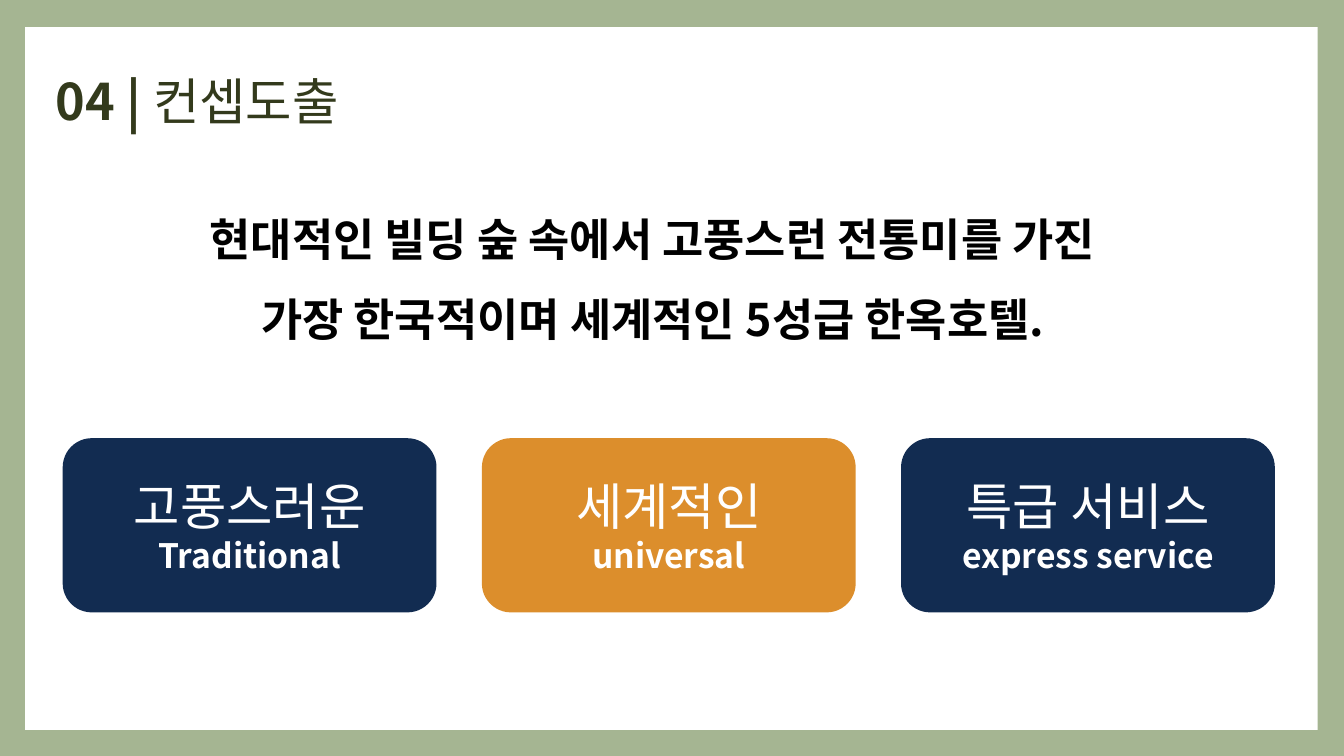
from lxml import etree
from pptx import Presentation
from pptx import util as u
from pptx.dml import color
from pptx.enum import shapes, text
from pptx.oxml import ns

COLORS = {
    "sage": "A5B592",
    "white": "FFFFFF",
    "olive": "333A1C",
    "black": "000000",
    "navy": "122C51",
    "orange": "DC8E2C",
}


class ConceptSlide:
    """Hold the style and the current slide, and draw each kind of element."""

    font_name = "Noto Sans CJK KR"

    def __init__(self, presentation):
        self.slide = presentation.slides.add_slide(presentation.slide_layouts[6])

    def paint(self, fill, name):
        fill.solid()
        fill.fore_color.rgb = color.RGBColor.from_string(COLORS[name])

    def format_run(self, run, size, color_name, bold):
        run.font.size = u.Pt(size)
        run.font.bold = bold
        run.font.name = self.font_name
        run.font.color.rgb = color.RGBColor.from_string(COLORS[color_name])
        east_asian = etree.SubElement(run.font._element, ns.qn("a:ea"))
        east_asian.set("typeface", self.font_name)

    def block(self, kind, box, fill_name):
        shape = self.slide.shapes.add_shape(kind, *map(u.Pt, box))
        shape.shadow.inherit = False
        self.paint(shape.fill, fill_name)
        shape.line.fill.background()
        return shape

    def title(self, box, number, heading):
        text_frame = self.slide.shapes.add_textbox(*map(u.Pt, box)).text_frame
        text_frame.word_wrap = True
        text_frame.vertical_anchor = text.MSO_ANCHOR.MIDDLE
        text_frame.margin_left = u.Pt(23.4)
        paragraph = text_frame.paragraphs[0]
        paragraph.line_spacing = 0.9
        for wording, bold in ((number, True), (heading, False)):
            run = paragraph.add_run()
            run.text = wording
            self.format_run(run, 36, "olive", bold)

    def statement(self, box, lines):
        text_frame = self.slide.shapes.add_textbox(*map(u.Pt, box)).text_frame
        text_frame.word_wrap = False
        text_frame.auto_size = text.MSO_AUTO_SIZE.SHAPE_TO_FIT_TEXT
        text_frame.text = "\n".join(lines)
        for paragraph in text_frame.paragraphs:
            paragraph.line_spacing = 1.5
            self.format_run(paragraph.runs[0], 32, "black", True)
        text_frame.paragraphs[-1].alignment = text.PP_ALIGN.CENTER

    def card(self, box, fill_name, korean, english):
        shape = self.block(shapes.MSO_SHAPE.ROUNDED_RECTANGLE, box, fill_name)
        text_frame = shape.text_frame
        text_frame.vertical_anchor = text.MSO_ANCHOR.MIDDLE
        text_frame.text = f"{korean}\n{english}"
        styles = ((36, False), (24, True))
        for paragraph, (size, bold) in zip(text_frame.paragraphs, styles):
            paragraph.alignment = text.PP_ALIGN.CENTER
            self.format_run(paragraph.runs[0], size, "white", bold)


def main():
    presentation = Presentation()
    presentation.slide_width = u.Pt(960)
    presentation.slide_height = u.Pt(540)

    concept = ConceptSlide(presentation)
    concept.paint(concept.slide.background.fill, "sage")
    concept.block(shapes.MSO_SHAPE.RECTANGLE, (18, 19.3, 923.2, 502), "white")
    concept.title((16.5, 20.9, 777.6, 106.5), "04 | ", "컨셉도출")
    concept.statement(
        (142.6, 128.2, 702, 118.8),
        (
            "현대적인 빌딩 숲 속에서 고풍스런 전통미를 가진",
            "가장 한국적이며 세계적인 5성급 한옥호텔.",
        ),
    )

    cards = (
        ("navy", "고풍스러운", "Traditional"),
        ("orange", "세계적인", "universal"),
        ("navy", "특급 서비스", "express service"),
    )
    left, pitch = 44.8, 299.4
    for index, (fill_name, korean, english) in enumerate(cards):
        box = (left + index * pitch, 313, 267, 124.4)
        concept.card(box, fill_name, korean, english)

    presentation.save("out.pptx")


if __name__ == "__main__":
    main()
